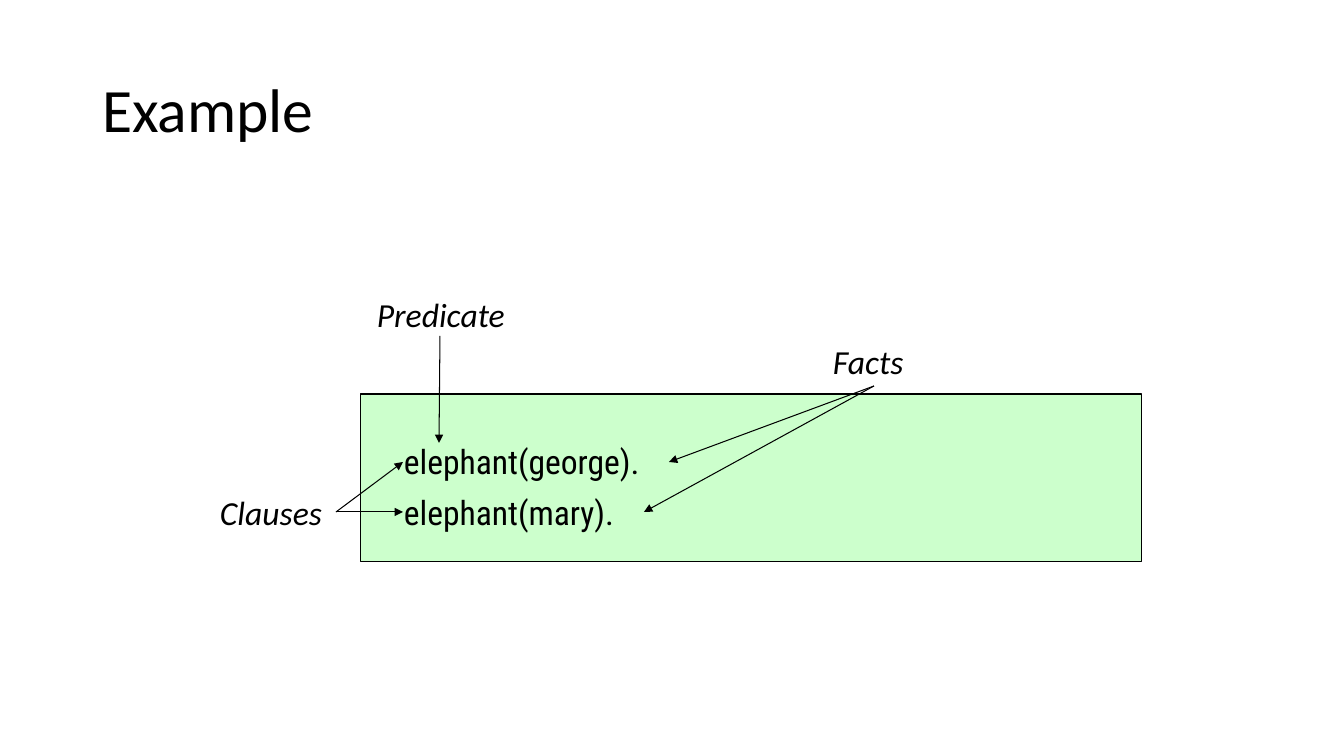
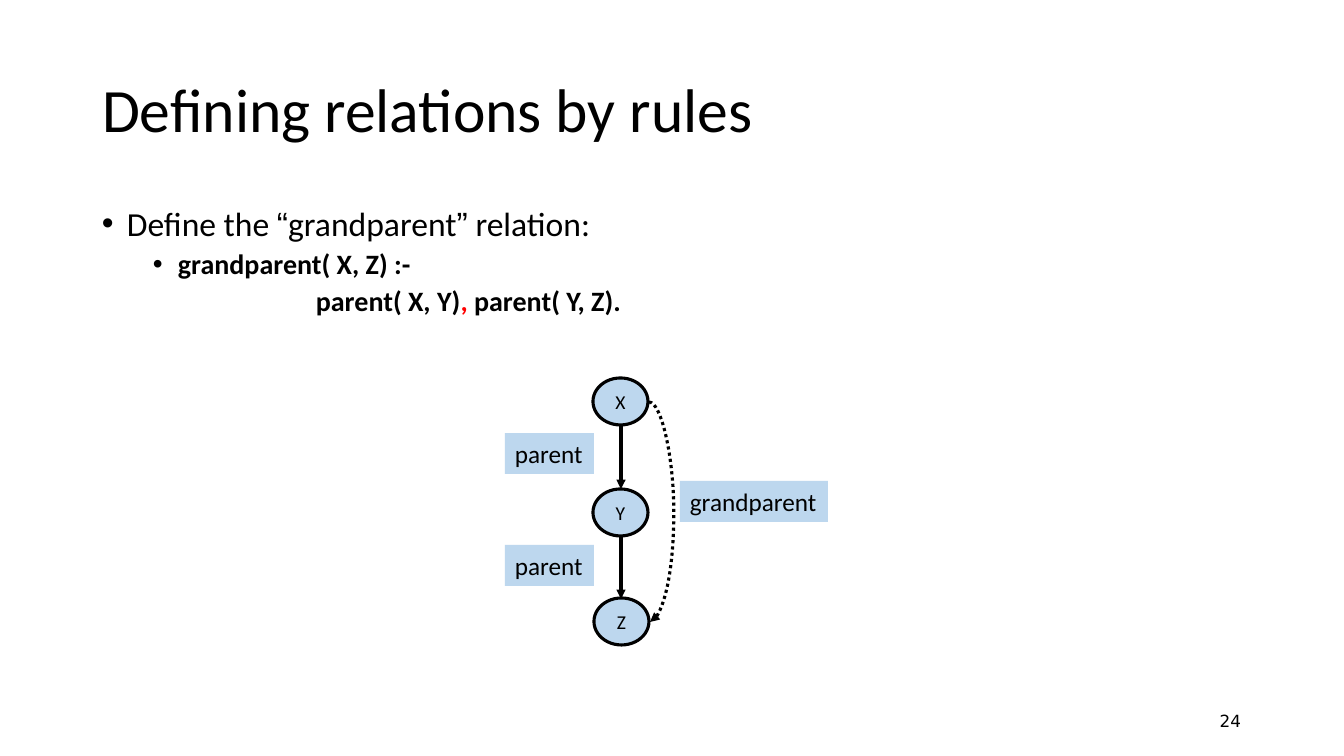
from dataclasses import dataclass

from lxml import etree
from pptx import Presentation
from pptx.dml.color import RGBColor
from pptx.enum.dml import MSO_LINE
from pptx.enum.shapes import MSO_CONNECTOR, MSO_SHAPE
from pptx.enum.text import MSO_ANCHOR, MSO_AUTO_SIZE, PP_ALIGN
from pptx.oxml.ns import qn
from pptx.util import Emu, Pt

STRAIGHT, CURVE = MSO_CONNECTOR.STRAIGHT, MSO_CONNECTOR.CURVE
RECT, OVAL = MSO_SHAPE.RECTANGLE, MSO_SHAPE.OVAL
LEFT, CENTER, RIGHT = PP_ALIGN.LEFT, PP_ALIGN.CENTER, PP_ALIGN.RIGHT
TOP, MIDDLE = MSO_ANCHOR.TOP, MSO_ANCHOR.MIDDLE
DOTTED = MSO_LINE.ROUND_DOT  # saved as sysDot
FIT, FIXED = MSO_AUTO_SIZE.SHAPE_TO_FIT_TEXT, MSO_AUTO_SIZE.NONE
TITLE_ONLY = 5


@dataclass(frozen=True)
class Theme:
    ink: str = "000000"
    accent: str = "FF0000"
    code_fill: str = "CCFFCC"
    node_fill: str = "BDD7EE"
    font: str = "Calibri"
    quote_font: str = "Arial"
    code_font: str = "Roboto Condensed"
    number_font: str = "DejaVu Sans"
    title: int = 44
    body: int = 24
    sub: int = 20
    label: int = 18
    node: int = 14
    number: int = 12
    thin: float = 0.75
    thick: float = 2.25


@dataclass(frozen=True)
class Box:
    x: int
    y: int
    w: int
    h: int


@dataclass(frozen=True)
class Label:
    text: str
    box: Box


@dataclass(frozen=True)
class Arrow:
    x1: int
    y1: int
    x2: int
    y2: int


@dataclass(frozen=True)
class Run:
    text: str
    font: str = Theme.font
    color: str = Theme.ink


@dataclass(frozen=True)
class Item:
    runs: tuple[Run, ...]
    size: int
    before: int
    margin: int = 0
    hanging: int = 0
    bold: bool = False


T = Theme()
TITLE_BOX = Box(92, 40, 1159, 146)


def px(n: float) -> Emu:
    """Turn pixels into EMU."""
    return Emu(round(n * 914400 / 100.8))


def rgb(code: str) -> RGBColor:
    return RGBColor.from_string(code)


def place(box: Box) -> tuple[Emu, Emu, Emu, Emu]:
    return px(box.x), px(box.y), px(box.w), px(box.h)


def add_run(p, text: str, *, size: int, font: str = T.font, color: str = T.ink,
            bold: bool = False, italic: bool = False) -> None:
    r = p.add_run()
    r.text = text
    r.font.size, r.font.name = Pt(size), font
    r.font.bold, r.font.italic = bold, italic
    r.font.color.rgb = rgb(color)


def write(sp, text: str, *, align=LEFT, anchor=TOP, wrap: bool = True,
          auto_size=FIXED, spacing: float = 1.0, **run_format) -> None:
    tf = sp.text_frame
    tf.word_wrap, tf.auto_size, tf.vertical_anchor = wrap, auto_size, anchor
    p = tf.paragraphs[0]
    p.alignment, p.line_spacing = align, spacing
    add_run(p, text, **run_format)


def add_slide(prs, title: str):
    s = prs.slides.add_slide(prs.slide_layouts[TITLE_ONLY])
    sp = s.shapes.title
    sp.left, sp.top, sp.width, sp.height = place(TITLE_BOX)
    write(sp, title, anchor=MIDDLE, spacing=0.9, size=T.title)
    return s


def add_text(s, box: Box, text: str, **text_format):
    sp = s.shapes.add_textbox(*place(box))
    write(sp, text, **text_format)
    return sp


def add_figure(s, kind, box: Box, *, fill: str, width: float):
    sp = s.shapes.add_shape(kind, *place(box))
    sp.shadow.inherit = False
    sp.fill.solid()
    sp.fill.fore_color.rgb = rgb(fill)
    sp.line.color.rgb = rgb(T.ink)
    sp.line.width = Pt(width)
    return sp


def add_arrow(s, arrow: Arrow, *, width: float, kind=STRAIGHT):
    ends = (px(n) for n in (arrow.x1, arrow.y1, arrow.x2, arrow.y2))
    line = s.shapes.add_connector(kind, *ends)
    line.line.color.rgb = rgb(T.ink)
    line.line.width = Pt(width)
    sp_pr = line._element.spPr
    etree.SubElement(sp_pr.find(qn("a:ln")), qn("a:tailEnd"), type="triangle")
    etree.SubElement(sp_pr, qn("a:effectLst"))
    return line


def bend(line, run: int, bulge: int) -> None:
    """Push a curved connector sideways, as a share of its run."""
    geom = line._element.spPr.find(qn("a:prstGeom"))
    guides = geom.find(qn("a:avLst"))
    if guides is None:
        guides = etree.SubElement(geom, qn("a:avLst"))
    etree.SubElement(guides, qn("a:gd"), name="adj1",
                     fmla=f"val {bulge * 100000 // run}")


def add_items(s, box: Box, items: tuple[Item, ...]) -> None:
    tf = s.shapes.add_textbox(*place(box)).text_frame
    tf.word_wrap = True
    for i, item in enumerate(items):
        p = tf.add_paragraph() if i else tf.paragraphs[0]
        p.line_spacing, p.space_before = 0.9, Pt(item.before)
        p_pr = p._p.get_or_add_pPr()
        p_pr.set("marL", str(px(item.margin)))
        p_pr.set("indent", str(-px(item.hanging)))
        if item.hanging:
            etree.SubElement(p_pr, qn("a:buFont"), typeface="Arial")
            etree.SubElement(p_pr, qn("a:buChar"), char="•")
        for run in item.runs:
            add_run(p, run.text, size=item.size, font=run.font,
                    color=run.color, bold=item.bold)


def build_example(prs) -> None:
    s = add_slide(prs, "Example")

    # Program text
    add_figure(s, RECT, Box(361, 394, 781, 168), fill=T.code_fill, width=T.thin)
    add_items(s, Box(394, 441, 754, 107), tuple(
        Item((Run(f"elephant({name}).", T.code_font),), T.body, 10)
        for name in ("george", "mary")))

    # Terms and their pointers
    for term in (Label("Predicate", Box(367, 289, 150, 50)),
                 Label("Clauses", Box(210, 487, 127, 50)),
                 Label("Facts", Box(823, 336, 95, 50))):
        add_text(s, term.box, term.text, size=T.body, italic=True,
                 wrap=False, auto_size=FIT)
    for pointer in (Arrow(440, 336, 439, 443),
                    Arrow(336, 512, 403, 462), Arrow(336, 512, 403, 512),
                    Arrow(874, 386, 669, 462), Arrow(874, 386, 644, 512)):
        add_arrow(s, pointer, width=T.thin)


def build_rules(prs) -> None:
    s = add_slide(prs, "Defining relations by rules")

    # Rule text
    add_items(s, Box(92, 202, 1159, 480), (
        Item((Run("Define the "), Run("“", T.quote_font), Run("grandparent"),
              Run("”", T.quote_font), Run(" relation:")),
             T.body, 10, margin=25, hanging=25),
        Item((Run("grandparent( X, Z) :-"),),
             T.sub, 5, margin=76, hanging=25, bold=True),
        Item((Run("parent( X, Y)"), Run(",", color=T.accent),
              Run(" parent( Y, Z).")), T.sub, 5, margin=214, bold=True)))

    # Family graph
    for arrow in (Arrow(621, 425, 621, 489), Arrow(621, 535, 621, 599)):
        add_arrow(s, arrow, width=T.thick)
    for node in (Label("X", Box(593, 378, 55, 47)),
                 Label("Y", Box(593, 489, 55, 47)),
                 Label("Z", Box(594, 598, 55, 47))):
        sp = add_figure(s, OVAL, node.box, fill=T.node_fill, width=T.thick)
        write(sp, node.text, align=CENTER, anchor=MIDDLE, wrap=False, size=T.node)

    span = Arrow(649, 402, 650, 622)
    curve = add_arrow(s, span, width=T.thick, kind=CURVE)
    curve.line.dash_style = DOTTED
    bend(curve, span.x2 - span.x1, 25)

    for relation in (Label("parent", Box(505, 433, 89, 41)),
                     Label("parent", Box(505, 545, 89, 41)),
                     Label("grandparent", Box(680, 481, 148, 41))):
        sp = add_text(s, relation.box, relation.text, size=T.label,
                      wrap=False, auto_size=FIT)
        sp.fill.solid()
        sp.fill.fore_color.rgb = rgb(T.node_fill)

    # Page number
    add_text(s, Box(949, 701, 302, 40), "24", align=RIGHT, anchor=MIDDLE,
             size=T.number, font=T.number_font)


prs = Presentation()
prs.slide_width, prs.slide_height = px(1344), px(756)
build_example(prs)
build_rules(prs)
prs.save("out.pptx")
